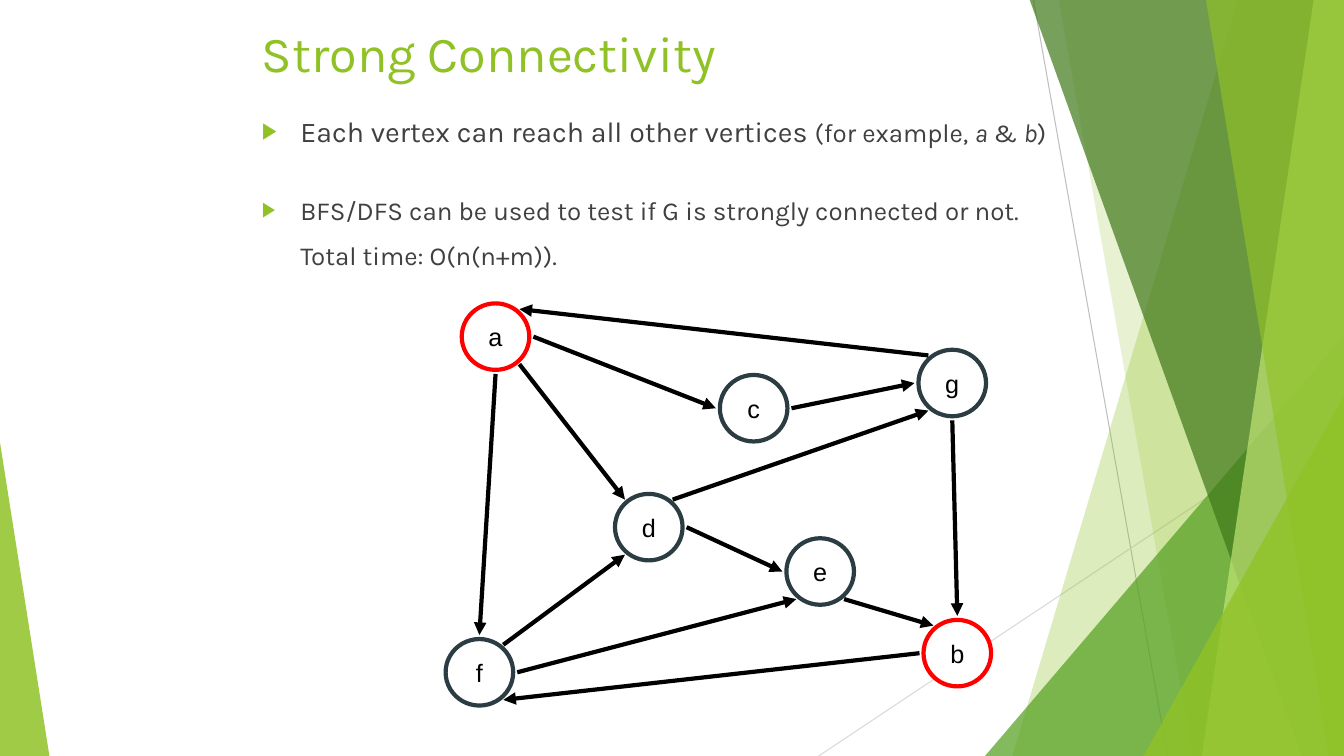
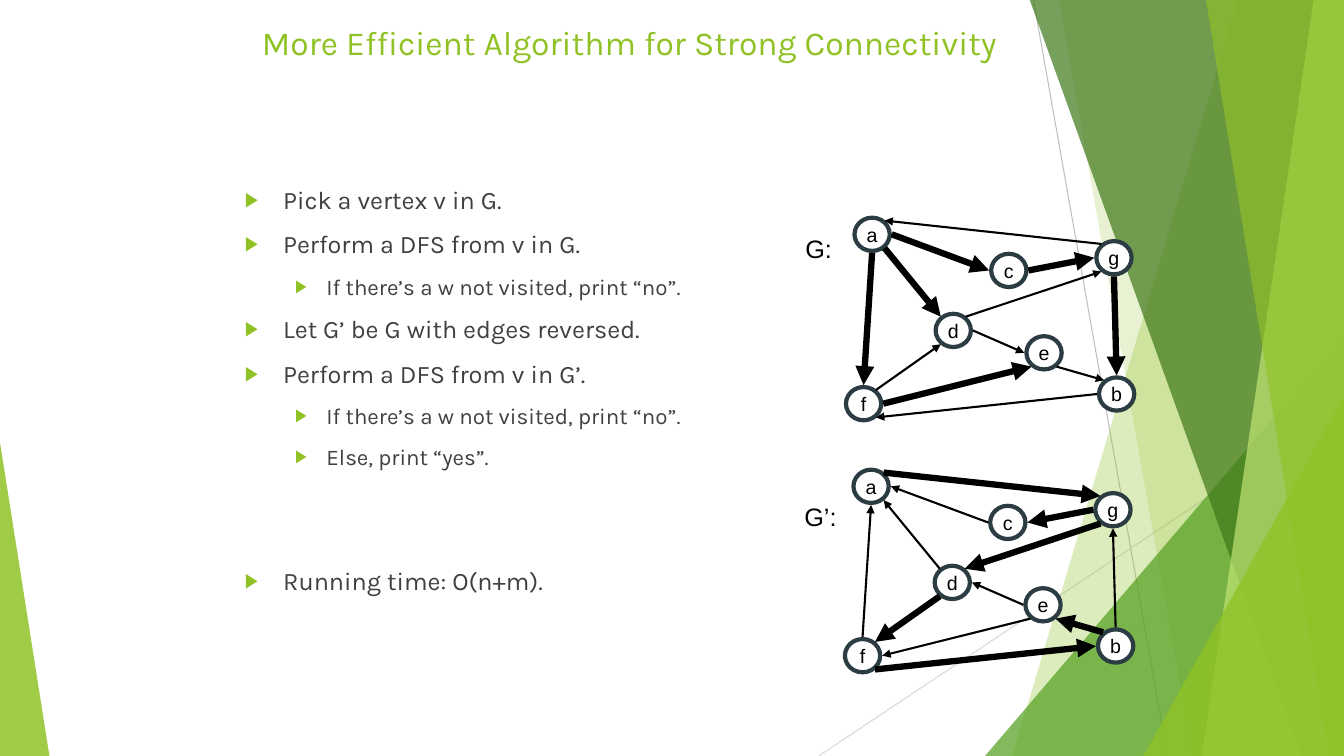
import lxml.etree
import pptx
import pptx.dml.color
import pptx.enum.shapes
import pptx.enum.text
import pptx.oxml.ns
import pptx.util

SHAPE = pptx.enum.shapes.MSO_SHAPE
ALIGN = pptx.enum.text.PP_ALIGN
ANCHOR = pptx.enum.text.MSO_ANCHOR
QN = pptx.oxml.ns.qn

SCALE = 9144  # EMU in one px, 100 px to the inch
WIDE, HIGH = 1333, 750

HUES = {
    "lime": "90C226", "pale": "C0E474", "leaf": "54A021", "moss": "3F7819",
    "gray": "BFBFBF", "mist": "D9D9D9", "text": "404040", "slate": "2C3C43",
    "red": "FF0000", "black": "000000", "white": "FFFFFF",
}
HEAD = "Karla"
MARK = "Arial"

# Top left corners of the nodes, within a field of SPAN
SPAN = (474, 333)
SPOTS = {
    "a": (16, 0), "d": (168, 189), "c": (272, 71), "b": (474, 314),
    "e": (338, 233), "f": (0, 333), "g": (469, 46),
}
# Each edge, with the side it leaves and the side it enters
EDGES = {
    "af": ("S", "N"), "ad": ("SE", "NW"), "ac": ("E", "W"),
    "ga": ("NW", "NE"), "cg": ("E", "W"), "gb": ("S", "N"),
    "de": ("E", "W"), "eb": ("SE", "NW"), "fd": ("NE", "SW"),
    "fe": ("E", "SW"), "bf": ("W", "SE"), "dg": ("NE", "SW"),
}


def px(num):
    return pptx.util.Emu(round(num * SCALE))


def rgb(hue):
    return pptx.dml.color.RGBColor.from_string(HUES[hue])


def add(node, tag, **attrs):
    return lxml.etree.SubElement(node, QN(tag), **attrs)


def style(run, font, size, hue, slant=None):
    run.font.name = font
    run.font.size = pptx.util.Pt(size)
    run.font.color.rgb = rgb(hue)
    run.font.italic = slant


def tint(shape, hue, alpha):
    """Fill a shape with a partly clear colour and no outline."""
    shape.shadow.inherit = False
    shape.fill.solid()
    shape.fill.fore_color.rgb = rgb(hue)
    shape.line.fill.background()
    tone = shape._element.spPr.find(".//" + QN("a:srgbClr"))
    add(tone, "a:alpha", val=str(alpha * 1000))


def draw_line(slide, start, end, hue, weight, arrow=False):
    line = slide.shapes.add_connector(
        pptx.enum.shapes.MSO_CONNECTOR.STRAIGHT, *map(px, start + end))
    line.line.color.rgb = rgb(hue)
    line.line.width = pptx.util.Pt(weight)
    if arrow:
        add(line.line._get_or_add_ln(), "a:tailEnd", type="triangle")
    add(line._element.spPr, "a:effectLst")


def facet(slide, points, hue, alpha):
    (left, top), *rest = points
    pen = slide.shapes.build_freeform(left, top, scale=SCALE)
    pen.add_line_segments(rest, close=True)
    tint(pen.convert_to_shape(), hue, alpha)


def band(slide, top, foot, hue, alpha):
    """Draw a facet that runs down the right edge of the slide."""
    facet(slide, [(top, -1), (WIDE, -1), (WIDE, HIGH), (foot, HIGH)],
          hue, alpha)


def wedge(slide, left, top, wide, peak, hue, alpha):
    """Draw a triangle that stands on the bottom of the slide."""
    shape = slide.shapes.add_shape(
        SHAPE.ISOSCELES_TRIANGLE, px(left), px(top), px(wide), px(HIGH - top))
    shape.adjustments[0] = peak
    tint(shape, hue, alpha)


def backdrop(slide):
    draw_line(slide, (1025, 0), (1158, HIGH), "gray", 0.75)
    draw_line(slide, (WIDE, 403), (812, HIGH), "mist", 0.75)
    band(slide, 1228, 1004, "lime", 30)
    band(slide, 1050, 1183, "lime", 20)
    wedge(slide, 977, 333, 356, 1, "leaf", 72)
    band(slide, 1021, 1291, "moss", 70)
    band(slide, 1303, 1192, "pale", 70)
    band(slide, 1196, 1318, "lime", 65)
    wedge(slide, 1134, 393, 199, 1, "lime", 80)
    wedge(slide, 0, 439, 49, 0, "lime", 85)


def text_box(slide, box):
    frame = slide.shapes.add_textbox(*map(px, box)).text_frame
    frame.word_wrap = True
    return frame


def title(slide, words, size, tall):
    frame = text_box(slide, (250, 17, 850, tall))
    frame.text = words
    style(frame.paragraphs[0].runs[0], HEAD, size, "lime")


def bullet(para):
    props = para._p.get_or_add_pPr()
    add(add(props, "a:buClr"), "a:srgbClr", val=HUES["lime"])
    add(props, "a:buSzPct", val="80000")
    add(props, "a:buFont", typeface=MARK)
    add(props, "a:buChar", char="▶")


def body(slide, box, items):
    """Fill a list; an item is its runs, level, space before and bullet."""
    frame = text_box(slide, box)
    for num, (runs, level, space, dot) in enumerate(items):
        para = frame.add_paragraph() if num else frame.paragraphs[0]
        para.level = level
        para.space_before = pptx.util.Pt(space if num else 0)
        left, hang = ((38, 38), (81, 31))[level]
        props = para._p.get_or_add_pPr()
        props.set("marL", str(px(left)))
        props.set("indent", str(px(-hang if dot else 0)))
        if dot:
            bullet(para)
        for words, size, slant in runs:
            run = para.add_run()
            run.text = words
            style(run, HEAD, size, "text", slant)


def add_node(slide, name, box, size, hue):
    shape = slide.shapes.add_shape(SHAPE.OVAL, *map(px, box))
    shape.shadow.inherit = False
    shape.fill.solid()
    shape.fill.fore_color.rgb = rgb("white")
    shape.line.color.rgb = rgb(hue)
    shape.line.width = pptx.util.Pt(3)
    frame = shape.text_frame
    frame.word_wrap = False
    frame.vertical_anchor = ANCHOR.MIDDLE
    frame.text = name
    para = frame.paragraphs[0]
    para.alignment = ALIGN.CENTER
    style(para.runs[0], MARK, size, "black")


def port(box, side, gap):
    """Give the point just off a node on one of its eight sides."""
    left, top, wide, tall = box
    right = ("E" in side) - ("W" in side)
    down = ("S" in side) - ("N" in side)
    slant = right and down
    reach = 0.707 if slant else 1
    across = wide / 2 * reach + (0 if slant else gap)
    return (left + wide / 2 + right * across,
            top + tall / 2 + down * (tall / 2 * reach + gap))


def graph(slide, box, dot, gap, size, thin, bold=(), red="", flip=False):
    """Draw the nodes and edges in a box; flip turns every edge around."""
    left, top, wide, tall = box
    nodes = {}
    for name, (across, down) in SPOTS.items():
        nodes[name] = (left + across * (wide - dot[0]) / SPAN[0],
                       top + down * (tall - dot[1]) / SPAN[1], *dot)
        add_node(slide, name, nodes[name], size,
                 "red" if name in red else "slate")
    for edge, sides in EDGES.items():
        ends = [port(nodes[name], side, gap)
                for name, side in zip(edge, sides)]
        if flip:
            ends.reverse()
        draw_line(slide, *ends, "black", 4.5 if edge in bold else thin, True)


def small_graph(slide, left, top, words, drop, bold, flip=False):
    frame = text_box(slide, (left - 50, top + drop, 60, 40))
    frame.text = words
    style(frame.paragraphs[0].runs[0], MARK, 18, "black")
    graph(slide, (left, top, 286, 201), (35, 33), 2, 14, 1.5,
          bold, flip=flip)


def strong(slide):
    title(slide, "Strong Connectivity", 36, 83)
    size = 18.5
    body(slide, (250, 108, 850, 167), [
        ([("Each vertex can reach all other vertices ", 20.4, None),
          ("(for example, ", size, None), ("a", size, True),
          (" & ", size, None), ("b", size, True), (")", size, None)],
         0, 0, True),
        ([("BFS/DFS can be used to test if G is strongly connected or not.",
           size, None)], 0, 33, True),
        ([("Total time: O(n(n+m)).", size, None)], 0, 10, False),
    ])
    graph(slide, (442, 301, 541, 399), (67, 66), 4, 18, 3, red="ab")


def faster(slide):
    title(slide, "More Efficient Algorithm for Strong Connectivity", 24, 117)
    steps = [
        ("Pick a vertex v in G.", 0, 10),
        ("Perform a DFS from v in G.", 0, 10),
        ("If there’s a w not visited, print “no”.", 1, 10),
        ("Let G’ be G with edges reversed.", 0, 10),
        ("Perform a DFS from v in G’.", 0, 10),
        ("If there’s a w not visited, print “no”.", 1, 10),
        ("Else, print “yes”.", 1, 10),
        ("Running time: O(n+m).", 0, 68),
    ]
    body(slide, (233, 178, 550, 488), [
        ([(words, (18, 16)[level], None)], level, space, True)
        for words, level, space in steps])
    small_graph(slide, 839, 216, "G:", 11,
                ("af", "ad", "ac", "cg", "gb", "fe"))
    small_graph(slide, 838, 466, "G’:", 26,
                ("ga", "cg", "eb", "fd", "bf", "dg"), True)


def main():
    deck = pptx.Presentation()
    deck.slide_width, deck.slide_height = px(WIDE), px(HIGH)
    for build in (strong, faster):
        slide = deck.slides.add_slide(deck.slide_layouts[6])
        backdrop(slide)
        build(slide)
    deck.save("out.pptx")


if __name__ == "__main__":
    main()
